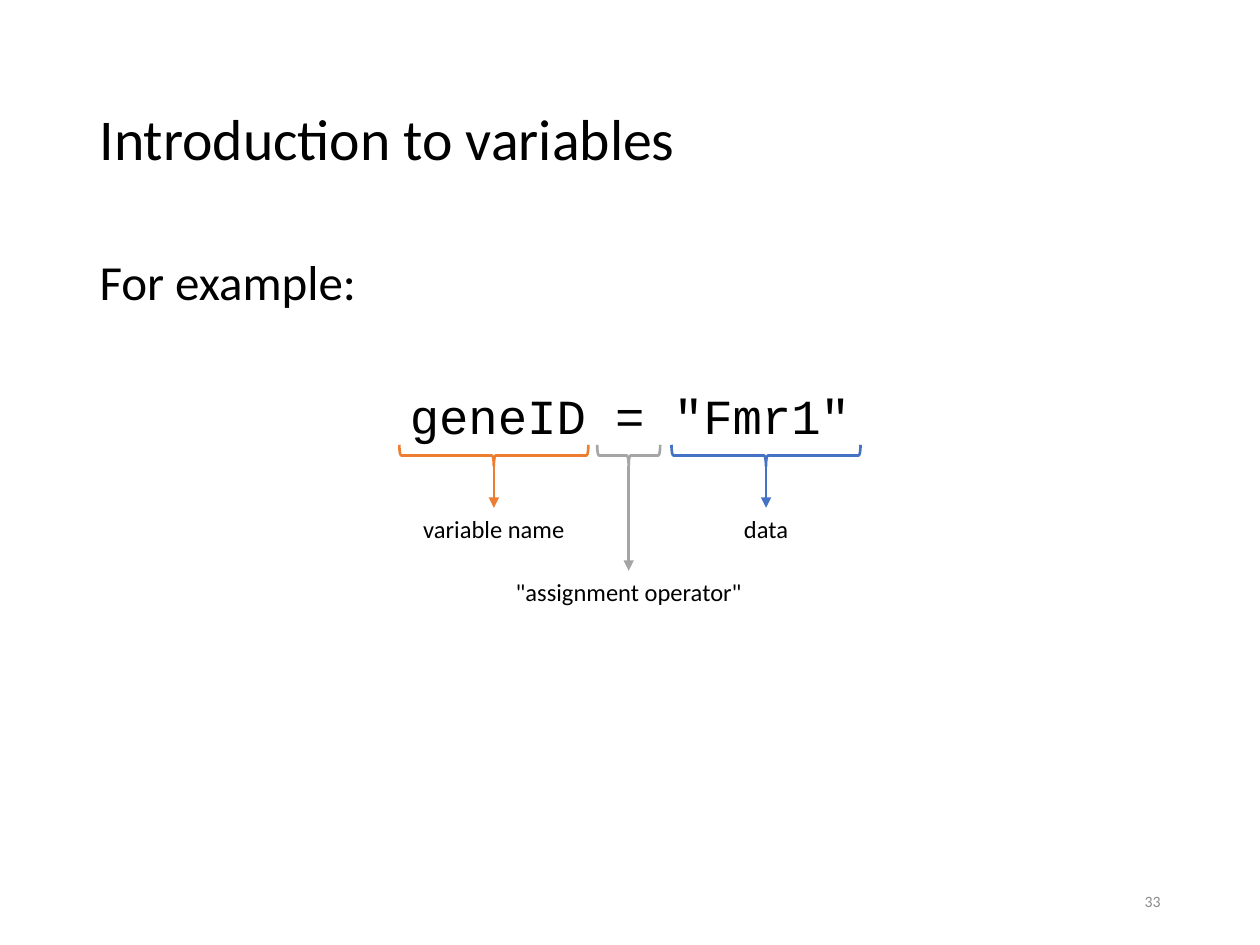
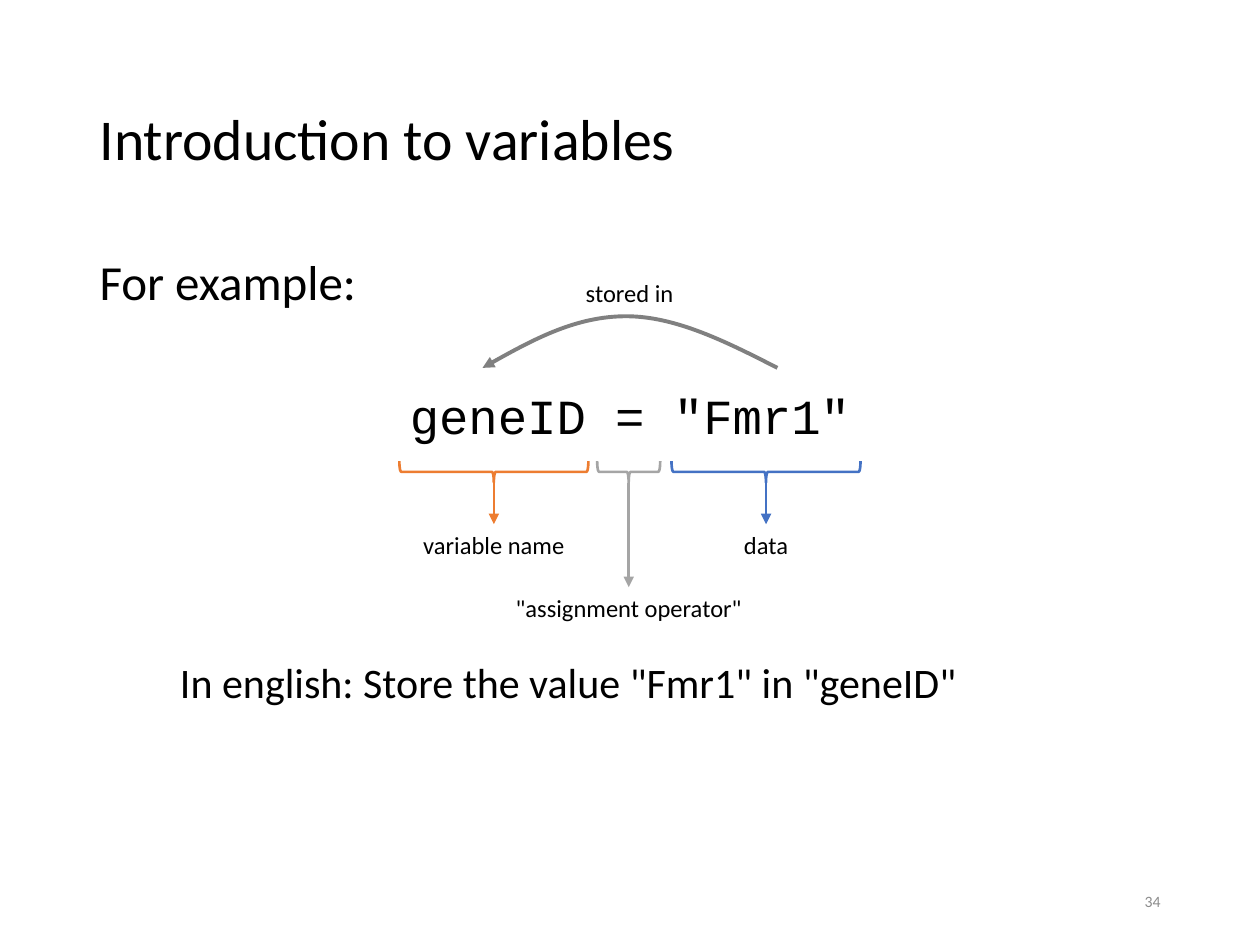
from pptx import Presentation
from pptx.dml.color import RGBColor
from pptx.enum.shapes import MSO_CONNECTOR, MSO_SHAPE
from pptx.enum.text import MSO_ANCHOR as ANCHOR, MSO_AUTO_SIZE as FIT, PP_ALIGN as ALIGN
from pptx.oxml.ns import qn
from pptx.util import Inches, Pt
from lxml.etree import SubElement

BLACK = RGBColor(0x00, 0x00, 0x00)
NUMBER_GREY = RGBColor(0x8C, 0x8C, 0x8C)
ARC_GREY = RGBColor(0x80, 0x80, 0x80)
ORANGE = RGBColor(0xED, 0x7D, 0x31)
GREY = RGBColor(0xA5, 0xA5, 0xA5)
BLUE = RGBColor(0x44, 0x72, 0xC4)

TEXT_FONT, CODE_FONT = "Calibri", "Courier New"
BRACE_DEPTH = 0.17
LABEL_HEIGHT = 0.34

# label, centre x, brace width, drop from brace top to label, label width, colour
CODE_PARTS = [
    ("variable name", 3.92, 1.5, 0.5, 1.34, ORANGE),
    ('"assignment operator"', 4.99, 0.5, 1.0, 2.01, GREY),
    ("data", 6.08, 1.5, 0.5, 0.56, BLUE),
]


def write(p, text, size, font=TEXT_FONT, color=BLACK, **paragraph_format):
    for name, value in paragraph_format.items():
        setattr(p, name, value)
    r = p.add_run()
    r.text = text
    for name, value in {"name": font, "size": Pt(size)}.items():
        setattr(r.font, name, value)
    r.font.color.rgb = color


def place(sp, left, top, width, height):
    box = {"left": left, "top": top, "width": width, "height": height}
    for name, value in box.items():
        setattr(sp, name, Inches(value))


def add_text(shapes, box, text, size, color=BLACK, align=ALIGN.LEFT,
             anchor=ANCHOR.TOP, wrap=False):
    sp = shapes.add_textbox(*map(Inches, box))
    tf = sp.text_frame
    tf.word_wrap, tf.vertical_anchor = wrap, anchor
    write(tf.paragraphs[0], text, size, color=color, alignment=align)
    return sp


def style_line(sp, color, width, arrow=False):
    sp.line.color.rgb = color
    sp.line.width = Pt(width)
    if arrow:
        SubElement(sp.line._get_or_add_ln(), qn("a:tailEnd"), type="triangle")


def add_brace(shapes, center, top, width, color):
    """Add a brace that opens upwards, its tip pointing down."""
    left = center - BRACE_DEPTH / 2
    turned_top = top + (BRACE_DEPTH - width) / 2
    sp = shapes.add_shape(MSO_SHAPE.LEFT_BRACE, Inches(left), Inches(turned_top),
                          Inches(BRACE_DEPTH), Inches(width))
    sp.rotation = 270
    sp.shadow.inherit = False
    sp.fill.background()
    style_line(sp, color, 1.5)


def add_arrow_to(shapes, label, x, top, bottom, color):
    """Add a vertical arrow joined to the top of a label."""
    arrow = shapes.add_connector(MSO_CONNECTOR.STRAIGHT, Inches(x), Inches(top),
                                 Inches(x), Inches(bottom))
    arrow.end_connect(label, 0)
    SubElement(arrow._element.spPr, qn("a:effectLst"))
    style_line(arrow, color, 1.5, arrow=True)


def add_annotations(slide, top):
    """Mark the parts of the code line with braces, arrows and labels."""
    shapes = slide.shapes.add_group_shape().shapes
    for text, x, width, drop, label_width, color in CODE_PARTS:
        add_brace(shapes, x, top, width, color)
        box = (x - label_width / 2, top + drop, label_width, LABEL_HEIGHT)
        label = add_text(shapes, box, text, 14, align=ALIGN.CENTER)
        add_arrow_to(shapes, label, x, top + BRACE_DEPTH, top + drop, color)


def add_curve(shapes, start, points, color, width):
    """Add an open Bezier curve with an arrowhead; each three points are a segment."""
    builder = shapes.build_freeform(*map(Inches, start))
    builder.add_line_segments([tuple(map(Inches, pt)) for pt in points], close=False)
    sp = builder.convert_to_shape()
    sp.shadow.inherit = False
    sp.fill.background()
    style_line(sp, color, width, arrow=True)
    steps = list(sp._element.iter(qn("a:lnTo")))
    outline = steps[0].getparent()
    for i in range(0, len(steps), 3):
        curve = SubElement(outline, qn("a:cubicBezTo"))
        for step in steps[i:i + 3]:
            curve.append(step[0])
            outline.remove(step)


def add_example_slide(prs, number, brace_top):
    slide = prs.slides.add_slide(prs.slide_layouts[1])
    title, body = slide.placeholders
    place(title, 0.69, 0.4, 8.62, 1.45)
    place(body, 0.69, 2, 8.62, 4.76)
    for sp, anchor in ((title, ANCHOR.MIDDLE), (body, ANCHOR.TOP)):
        sp.text_frame.auto_size = FIT.NONE
        sp.text_frame.vertical_anchor = anchor
    write(title.text_frame.paragraphs[0], "Introduction to variables", 33,
          alignment=ALIGN.LEFT, line_spacing=0.9)

    intro, code = body.text_frame.paragraphs[0], body.text_frame.add_paragraph()
    for p in (intro, code):
        pPr = p._p.get_or_add_pPr()
        pPr.set("marL", "0")
        pPr.set("indent", "0")
        SubElement(pPr, qn("a:buNone"))
    write(intro, "For example:", 28, line_spacing=0.9, space_before=Pt(0))
    write(code, 'geneID = "Fmr1"', 28, CODE_FONT, alignment=ALIGN.CENTER,
          line_spacing=0.9, space_before=Pt(46))

    add_text(slide.shapes, (7.06, 6.95, 2.25, 0.4), str(number), 9, NUMBER_GREY,
             ALIGN.RIGHT, ANCHOR.MIDDLE, wrap=True)
    add_annotations(slide, brace_top)
    return slide


def main():
    prs = Presentation()
    prs.slide_width, prs.slide_height = Inches(10), Inches(7.5)

    add_example_slide(prs, 33, brace_top=3.53)

    shapes = add_example_slide(prs, 34, brace_top=3.66).shapes
    add_curve(shapes, (6.17, 2.92),
              [(5.76, 2.71), (5.36, 2.51), (4.97, 2.51),
               (4.58, 2.51), (4.2, 2.71), (3.83, 2.92)], ARC_GREY, 2.25)
    add_text(shapes, (4.55, 2.16, 0.91, LABEL_HEIGHT), "stored in", 14)
    add_text(shapes, (1.33, 5.16, 6.42, 0.5),
             'In english: Store the value "Fmr1" in "geneID"', 24)

    prs.save("out.pptx")


if __name__ == "__main__":
    main()
